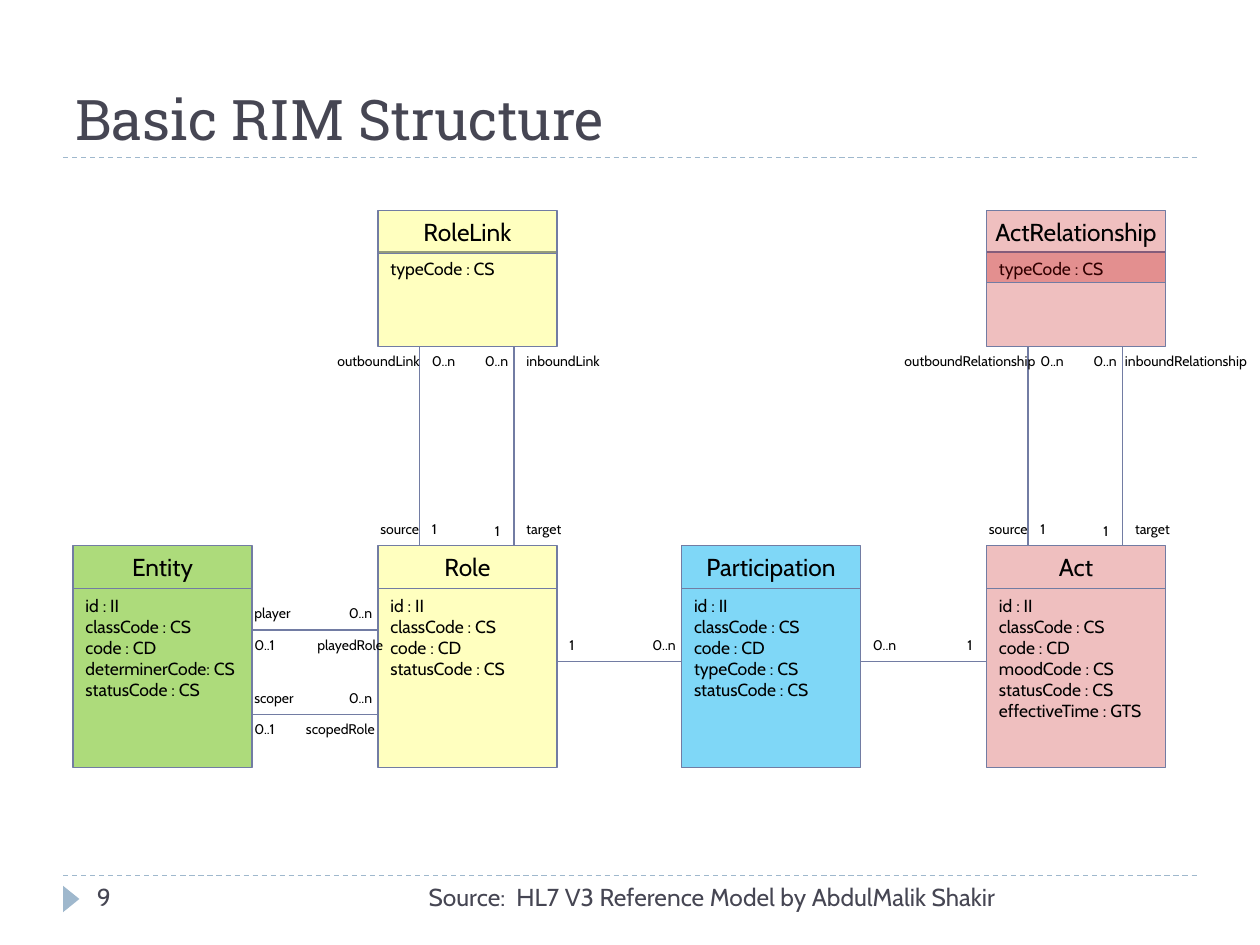
from lxml import etree
from pptx import Presentation
from pptx.dml.color import RGBColor
from pptx.enum.dml import MSO_LINE
from pptx.enum.shapes import MSO_CONNECTOR, MSO_SHAPE
from pptx.enum.text import MSO_ANCHOR, PP_ALIGN
from pptx.oxml.ns import qn
from pptx.util import Inches, Pt

COLORS = {
    "heading": "464653", "text": "000000", "line": "727CA3", "rule": "9FB8CD",
    "entity": "92D050", "role": "FFFF00", "participation": "00B0F0", "act": "C00000",
}
OPACITY = {"entity": 75, "role": 25, "participation": 50, "act": 25}

CLASS_WIDTH, HEAD_HEIGHT = 1.42, 0.34
COLUMNS = [round(0.58 + i * 2.417, 2) for i in range(4)]
LINK_TOP, CORE_TOP = 1.67, 4.33
LINK_BOTTOM = 2.75


def rgb(name):
    return RGBColor.from_string(COLORS[name])


def write(shape, lines, size, color="text", font="Cabin", align=PP_ALIGN.LEFT,
          anchor=MSO_ANCHOR.TOP, side_inset=0.1):
    frame = shape.text_frame
    frame.word_wrap = True
    frame.vertical_anchor = anchor
    frame.margin_left = frame.margin_right = Inches(side_inset)
    frame.text = "\n".join(lines)
    for paragraph in frame.paragraphs:
        paragraph.alignment = align
        paragraph.font.size = Pt(size)
        paragraph.font.name = font
        paragraph.font.color.rgb = rgb(color)


def add_text(slide, left, top, width, height, text, size, **style):
    box = slide.shapes.add_textbox(
        Inches(left), Inches(top), Inches(width), Inches(height))
    write(box, [text], size, **style)


def add_label(slide, left, top, text, width=0.5, height=0.24):
    add_text(slide, left, top, width, height, text, 8)


def add_line(slide, x1, y1, x2, y2, color="line", dash=None):
    line = slide.shapes.add_connector(
        MSO_CONNECTOR.STRAIGHT, Inches(x1), Inches(y1), Inches(x2), Inches(y2))
    line.line.color.rgb = rgb(color)
    line.line.width = Pt(0.75)
    if dash:
        line.line.dash_style = dash
    etree.SubElement(line._element.spPr, qn("a:effectLst"))


def add_panel(slide, left, top, height, kind):
    panel = slide.shapes.add_shape(
        MSO_SHAPE.RECTANGLE, Inches(left), Inches(top), Inches(CLASS_WIDTH), Inches(height))
    panel.shadow.inherit = False
    panel.fill.solid()
    panel.fill.fore_color.rgb = rgb(kind)
    color = panel._element.spPr.find(qn("a:solidFill"))[0]
    etree.SubElement(color, qn("a:alpha"), val=str(OPACITY[kind] * 1000))
    panel.line.color.rgb = rgb("line")
    panel.line.width = Pt(0.75)
    return panel


def add_class(slide, left, top, body_height, kind, name, attributes,
              head_height=HEAD_HEIGHT, head_inset=0.1):
    body_top = top + (HEAD_HEIGHT if body_height > 1 else 0.33)
    write(add_panel(slide, left, body_top, body_height, kind), attributes, 10)
    write(add_panel(slide, left, top, head_height, kind), [name], 14,
          align=PP_ALIGN.CENTER, side_inset=head_inset)


def add_link_class(slide, left, kind, name, suffix, out_box, in_box, head_height):
    """Link class with its source and target lines; boxes are (offset, width, height)."""
    add_class(slide, left, LINK_TOP, 0.75, kind, name, ["typeCode : CS"],
              head_height, head_inset=0)
    for x in (left + 0.33, left + 1.08):
        add_line(slide, x, LINK_BOTTOM, x, CORE_TOP)
    for prefix, (offset, width, height) in (("outbound", out_box), ("inbound", in_box)):
        add_label(slide, left + offset, LINK_BOTTOM, prefix + suffix, width, height)
    for offset in (0.33, 0.75):
        add_label(slide, left + offset, LINK_BOTTOM, "0..n")
    add_label(slide, left - 0.08, 4.08, "source", 0.58)
    add_label(slide, left + 0.33, 4.08, "1")
    add_label(slide, left + 0.83, 4.1, "1")
    add_label(slide, left + 1.08, 4.08, "target", 0.58)


def add_entity_roles(slide, left, right):
    """Two associations between Entity and Role."""
    rows = [
        (5, "player", 0.5, 0.37, "playedRole", 0.58),
        (5.67, "scoper", 0.58, 0.24, "scopedRole", 0.67),
    ]
    for y, actor, actor_width, actor_height, role, role_gap in rows:
        add_line(slide, left, y, right, y)
        add_label(slide, left - 0.08, y - 0.25, actor, actor_width, actor_height)
        add_label(slide, right - role_gap, y, role, 0.75, 0.37)
        add_label(slide, left - 0.08, y, "0..1")
        add_label(slide, right - 0.33, y - 0.25, "0..n")


def add_association(slide, left, right, near, far, far_gap, far_width=0.5):
    add_line(slide, left, 5.25, right, 5.25)
    add_label(slide, left, 5, near)
    add_label(slide, right - far_gap, 5, far, far_width)


def add_frame(slide):
    """Title, rules and footer."""
    for y in (6.95, 1.25):
        add_line(slide, 0.5, y, 9.5, y, "rule", MSO_LINE.DASH)
    marker = slide.shapes.add_shape(
        MSO_SHAPE.ISOSCELES_TRIANGLE, Inches(0.46), Inches(7.07), Inches(0.21), Inches(0.13))
    marker.rotation = 90
    marker.shadow.inherit = False
    marker.fill.solid()
    marker.fill.fore_color.rgb = rgb("rule")
    marker.line.fill.background()
    add_text(slide, 0.5, 0.25, 9, 1, "Basic RIM Structure", 32, color="heading",
             font="Roboto Slab", anchor=MSO_ANCHOR.BOTTOM)
    add_text(slide, 0.67, 6.95, 2.17, 0.4, "9", 14, color="heading")
    add_text(slide, 3.17, 6.95, 4.83, 0.4,
             "Source:  HL7 V3 Reference Model by AbdulMalik Shakir", 14,
             color="heading", align=PP_ALIGN.RIGHT)


def add_diagram(slide):
    common = ["id : II", "classCode : CS", "code : CD"]
    core_classes = [
        ("entity", "Entity", ["determinerCode: CS", "statusCode : CS"]),
        ("role", "Role", ["statusCode : CS"]),
        ("participation", "Participation", ["typeCode : CS", "statusCode : CS"]),
        ("act", "Act", ["moodCode : CS", "statusCode : CS", "effectiveTime : GTS"]),
    ]
    for left, (kind, name, attributes) in zip(COLUMNS, core_classes):
        add_class(slide, left, CORE_TOP, 1.42, kind, name, common + attributes)

    entity, role, participation, act = COLUMNS
    add_entity_roles(slide, entity + CLASS_WIDTH, role)
    add_association(slide, role + CLASS_WIDTH, participation, "1", "0..n", 0.33)
    add_association(slide, participation + CLASS_WIDTH, act, "0..n", "1", 0.25, 0.42)
    add_link_class(slide, act, "act", "ActRelationship", "Relationship",
                   (-0.75, 1.25, 0.37), (1, 1.25, 0.37), 0.57)
    add_link_class(slide, role, "role", "RoleLink", "Link",
                   (-0.42, 1, 0.24), (1.08, 1.25, 0.24), HEAD_HEIGHT)


def main():
    deck = Presentation()
    deck.slide_width, deck.slide_height = Inches(10), Inches(7.5)
    slide = deck.slides.add_slide(deck.slide_layouts[6])
    add_frame(slide)
    add_diagram(slide)
    deck.save("out.pptx")


if __name__ == "__main__":
    main()
